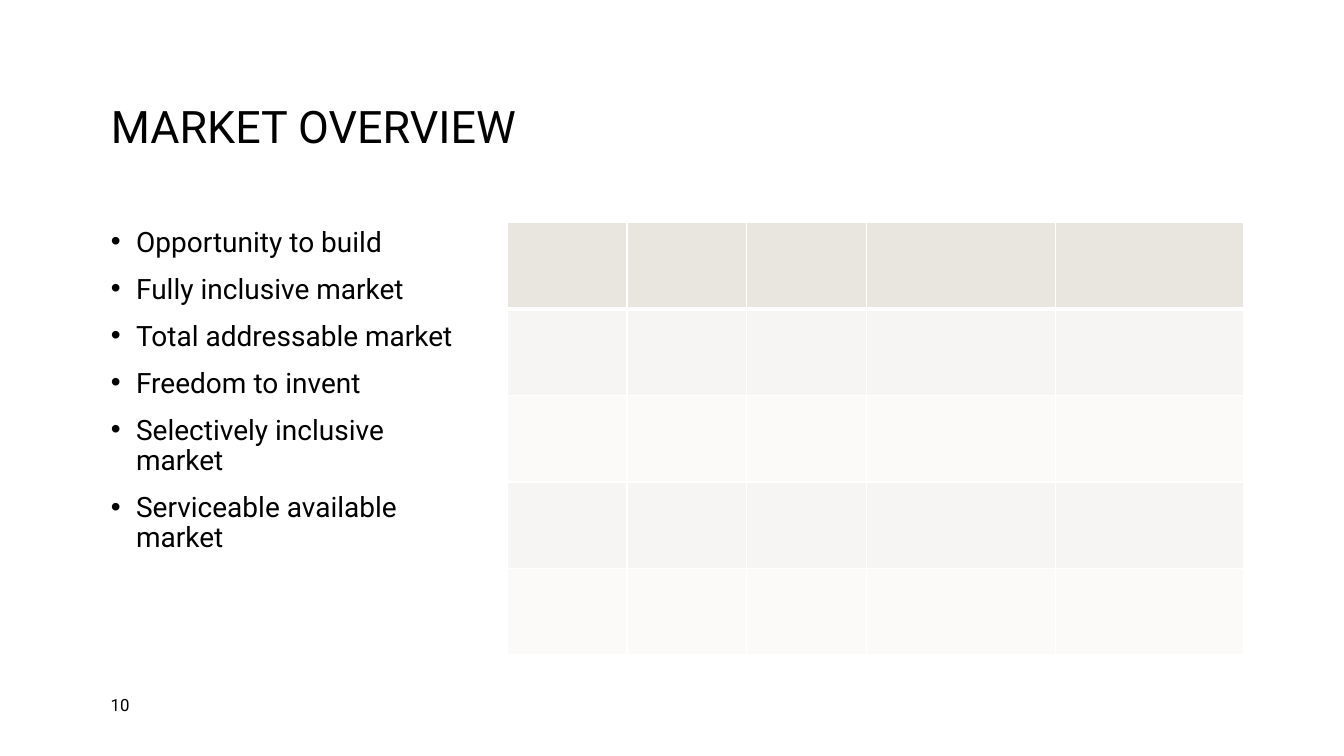
from lxml import etree
from pptx import Presentation, util as u
from pptx.dml.color import RGBColor
from pptx.enum import text
from pptx.oxml.ns import qn

COLORS = {
    "ink": "000000",
    "rule": "FFFFFF",
    "header": "E9E6DF",
    "odd": "F7F5F3",
    "even": "FBFAF9",
}
BENEFITS = [
    "Opportunity to build",
    "Fully inclusive market",
    "Total addressable market",
    "Freedom to invent",
    "Selectively inclusive market",
    "Serviceable\u00a0available market".replace("\u00a0", " "),
]


class MarketSlide:
    font = "Roboto"
    columns, rows = 40, 30

    def __init__(self, deck):
        self.column = deck.slide_width / self.columns
        self.row = deck.slide_height / self.rows
        self.slide = deck.slides.add_slide(deck.slide_layouts[1])

    def box(self, left, top, width, height):
        return [
            u.Emu(round(left * self.column)),
            u.Emu(round(top * self.row)),
            u.Emu(round(width * self.column)),
            u.Emu(round(height * self.row)),
        ]

    def place(self, shape, area):
        shape.left, shape.top, shape.width, shape.height = self.box(*area)

    def fill_text(self, shape, lines, size, anchor, spacing=1.0, after=0, bullets=False):
        frame = shape.text_frame
        frame.text = "\n".join(lines)
        frame.word_wrap = True
        frame.auto_size = text.MSO_AUTO_SIZE.NONE
        frame.vertical_anchor = anchor
        for paragraph in frame.paragraphs:
            paragraph.alignment = text.PP_ALIGN.LEFT
            paragraph.line_spacing = spacing
            paragraph.space_before = u.Pt(0)
            paragraph.space_after = u.Pt(after)
            if bullets:
                self.bullet(paragraph)
            paragraph.font.name = self.font
            paragraph.font.size = u.Pt(size)
            paragraph.font.color.rgb = RGBColor.from_string(COLORS["ink"])

    def bullet(self, paragraph):
        properties = paragraph._p.get_or_add_pPr()
        properties.set("marL", str(u.Inches(0.25)))
        properties.set("indent", str(u.Inches(-0.25)))
        etree.SubElement(properties, qn("a:buFont"), typeface="Arial")
        etree.SubElement(properties, qn("a:buChar"), char="•")

    def title(self, words, area):
        heading = self.slide.shapes.title
        self.place(heading, area)
        self.fill_text(heading, [words], 32, text.MSO_ANCHOR.MIDDLE, spacing=0.9)

    def bullet_list(self, lines, area):
        body = self.slide.placeholders[1]
        self.place(body, area)
        self.fill_text(body, lines, 20, text.MSO_ANCHOR.TOP, spacing=0.9, after=12, bullets=True)

    def page_number(self, number, area):
        footer = self.slide.shapes.add_textbox(*self.box(*area))
        self.fill_text(footer, [number], 12, text.MSO_ANCHOR.MIDDLE)

    def table(self, left, top, widths, height, fills):
        area = self.box(left, top, sum(widths), height * len(fills))
        market = self.slide.shapes.add_table(len(fills), len(widths), *area).table
        for column, width in zip(market.columns, widths):
            column.width = u.Emu(round(width * self.column))
        for index, (row, fill) in enumerate(zip(market.rows, fills)):
            row.height = u.Emu(round(height * self.row))
            above, below = (3 if index == 1 else 1), (3 if index == 0 else 1)
            for cell in row.cells:
                for edge, points in zip("LRTB", (1, 1, above, below)):
                    self.border(cell, edge, points)
                cell.fill.solid()
                cell.fill.fore_color.rgb = RGBColor.from_string(COLORS[fill])

    def border(self, cell, edge, points):
        properties = cell._tc.get_or_add_tcPr()
        line = etree.SubElement(properties, qn(f"a:ln{edge}"), w=str(u.Pt(points)))
        paint = etree.SubElement(line, qn("a:solidFill"))
        etree.SubElement(paint, qn("a:srgbClr"), val=COLORS["rule"])


def main():
    deck = Presentation()
    deck.slide_width, deck.slide_height = u.Inches(13.33), u.Inches(7.5)
    overview = MarketSlide(deck)
    overview.title("MARKET OVERVIEW", (3, 1.6, 34, 7))
    overview.bullet_list(BENEFITS, (3, 8.84, 10.83, 17.12))
    overview.table(
        left=15.09,
        top=8.84,
        widths=[3.57] * 3 + [5.61] * 2,
        height=3.43,
        fills=["header"] + ["odd", "even"] * 2,
    )
    overview.page_number("10", (3, 27.32, 2.07, 1.28))
    deck.save("out.pptx")


if __name__ == "__main__":
    main()
